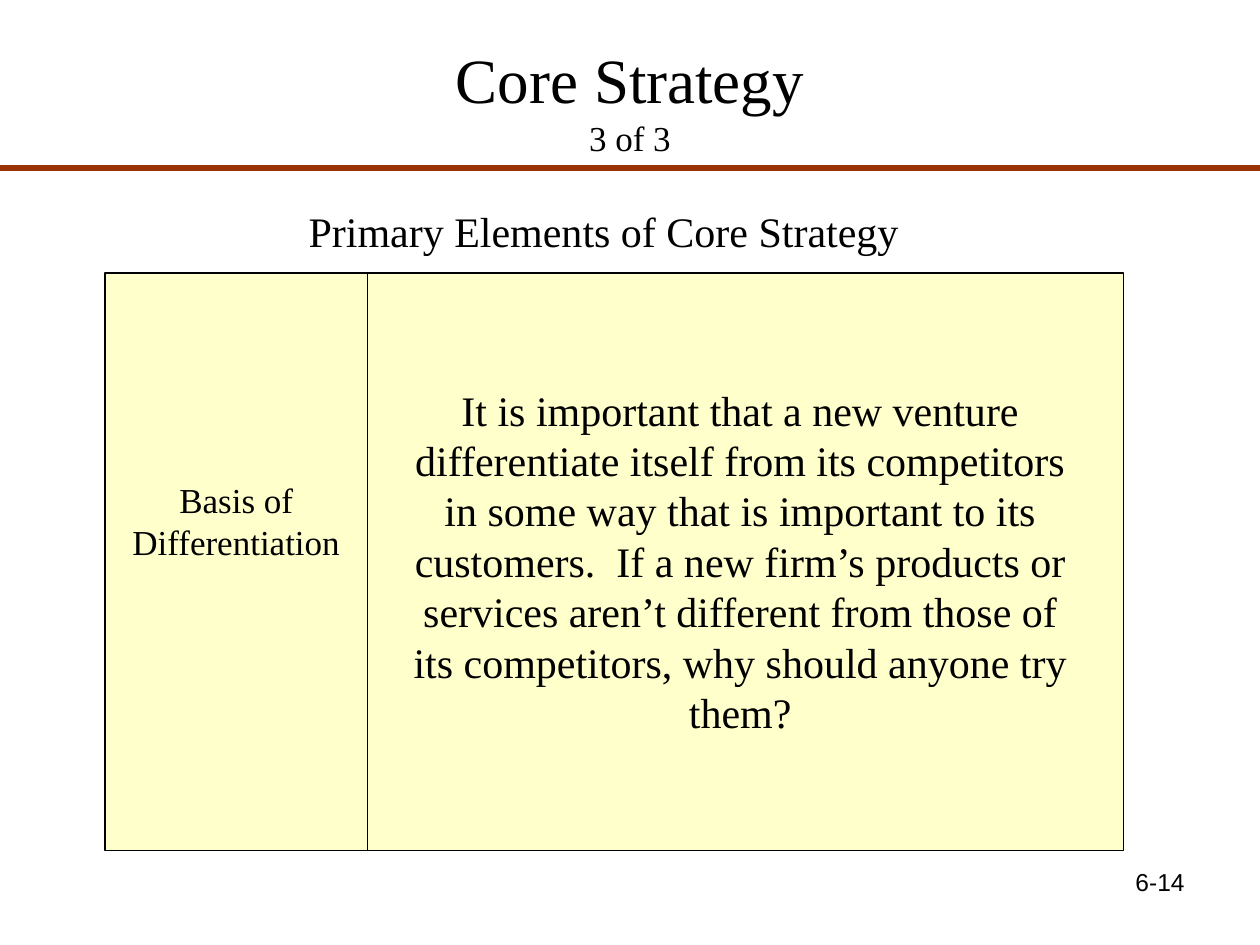
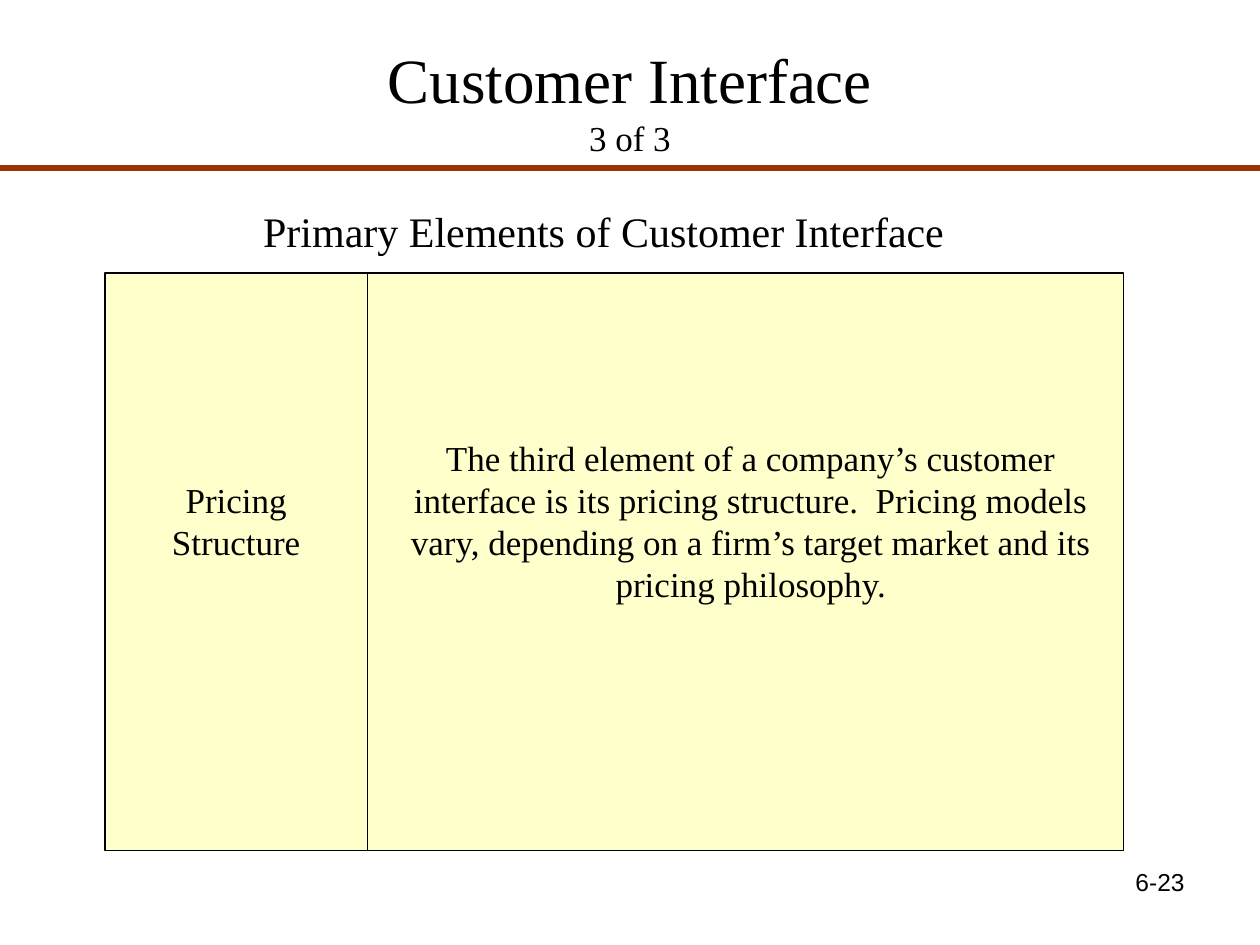
from copy import deepcopy
from dataclasses import dataclass
from typing import NamedTuple

from lxml.etree import SubElement
from pptx import Presentation as Deck
from pptx.dml.color import RGBColor as Rgb
from pptx.enum.shapes import MSO_CONNECTOR as Link, MSO_SHAPE as Form
from pptx.enum.text import MSO_ANCHOR as Anchor, MSO_AUTO_SIZE as Fit, PP_ALIGN as Align
from pptx.oxml.ns import qn
from pptx.util import Inches, Pt


@dataclass(frozen=True)
class Theme:
    """Colours, fonts and type sizes of the deck."""
    ink: Rgb = Rgb.from_string("000000")
    rule: Rgb = Rgb.from_string("993300")
    panel: Rgb = Rgb.from_string("FFFFCC")
    serif: str = "Times New Roman"
    sans: str = "Arial"
    title: int = 36
    large: int = 24
    small: int = 20
    foot: int = 14
    thick: float = 3
    thin: float = 0.75


class Box(NamedTuple):
    """A region in grid columns and rows."""
    x: float
    y: float
    w: float
    h: float

    def inner(self, x, y, w, h):
        """Return a region placed from this one's corner."""
        return Box(self.x + x, self.y + y, w, h)

    def size(self):
        """Return left, top, width and height as lengths."""
        return [Inches(n / UNIT) for n in self]


THEME = Theme()
UNIT = 12
PAGE = Box(0, 0, 120, 90)

SLIDES = [
    dict(topic="Core Strategy", page="6-14", name="Basis of Differentiation",
         name_box=(0, 19, 25, 9), body_box=(28, 10, 65, 42), body_size=THEME.large,
         body="It is important that a new venture differentiate itself from its "
              "competitors in some way that is important to its customers.  If a new "
              "firm’s products or services aren’t different from those of its "
              "competitors, why should anyone try them?"),
    dict(topic="Customer Interface", page="6-23", name="Pricing Structure",
         name_box=(1, 19, 23, 9), body_box=(27, 15, 69, 17), body_size=THEME.small,
         body="The third element of a company’s customer interface is its pricing "
              "structure.  Pricing models vary, depending on a firm’s target market "
              "and its pricing philosophy."),
]


def style(run, size, font=THEME.serif):
    """Give a run its font, size and colour."""
    run.font.name, run.font.size = font, Pt(size)
    run.font.color.rgb = THEME.ink


def write(slide, box, text, size=THEME.small, font=THEME.serif, align=Align.CENTER):
    """Add a wrapped text box in one format."""
    frame = slide.shapes.add_textbox(*box.size()).text_frame
    frame.word_wrap = True
    para = frame.paragraphs[0]
    para.alignment = align
    run = para.add_run()
    run.text = text
    style(run, size, font)


def rule(slide, box, color, width):
    """Draw a straight line across a box without height or width."""
    x, y, w, h = box.size()
    line = slide.shapes.add_connector(Link.STRAIGHT, x, y, x + w, y + h)
    line.line.color.rgb, line.line.width = color, Pt(width)
    SubElement(line._element.spPr, qn("a:effectLst"))


def head(slide, box, topic):
    """Fill the title, with its count, over the wide rule."""
    title = slide.shapes.title
    title.left, title.top, title.width, title.height = box.inner(6, 2, 108, 15).size()
    frame = title.text_frame
    frame.auto_size, frame.vertical_anchor = Fit.NONE, Anchor.MIDDLE
    para = frame.paragraphs[0]
    para.alignment = Align.CENTER
    main_run = para.add_run()
    main_run.text = topic
    style(main_run, THEME.title)
    para.add_line_break()
    para._p[-1].append(deepcopy(main_run._r.rPr))
    count = para.add_run()
    count.text = "3 of 3"
    style(count, THEME.small)
    rule(slide, box.inner(0, 16, box.w, 0), THEME.rule, THEME.thick)


def panel(slide, box, data):
    """Draw the split panel with its name and body."""
    back = slide.shapes.add_shape(Form.RECTANGLE, *box.size())
    back.shadow.inherit = False
    back.fill.solid()
    back.fill.fore_color.rgb = THEME.panel
    back.line.color.rgb, back.line.width = THEME.ink, Pt(THEME.thin)
    rule(slide, box.inner(25, 0, 0, box.h), THEME.ink, THEME.thin)
    write(slide, box.inner(*data["name_box"]), data["name"])
    write(slide, box.inner(*data["body_box"]), data["body"], size=data["body_size"])


def element(deck, data):
    """Build a slide on one element of a topic."""
    slide = deck.slides.add_slide(deck.slide_layouts.get_by_name("Title Only"))
    head(slide, PAGE, data["topic"])
    write(slide, PAGE.inner(18, 19, 79, 6), f"Primary Elements of {data['topic']}",
          size=THEME.large)
    panel(slide, PAGE.inner(10, 26, 97, 55), data)
    write(slide, PAGE.inner(86, 82, 28, 6.25), data["page"], size=THEME.foot,
          font=THEME.sans, align=Align.RIGHT)


def main():
    """Build and save the deck."""
    deck = Deck()
    deck.slide_width, deck.slide_height = PAGE.size()[2:]
    for data in SLIDES:
        element(deck, data)
    deck.save("out.pptx")


if __name__ == "__main__":
    main()
